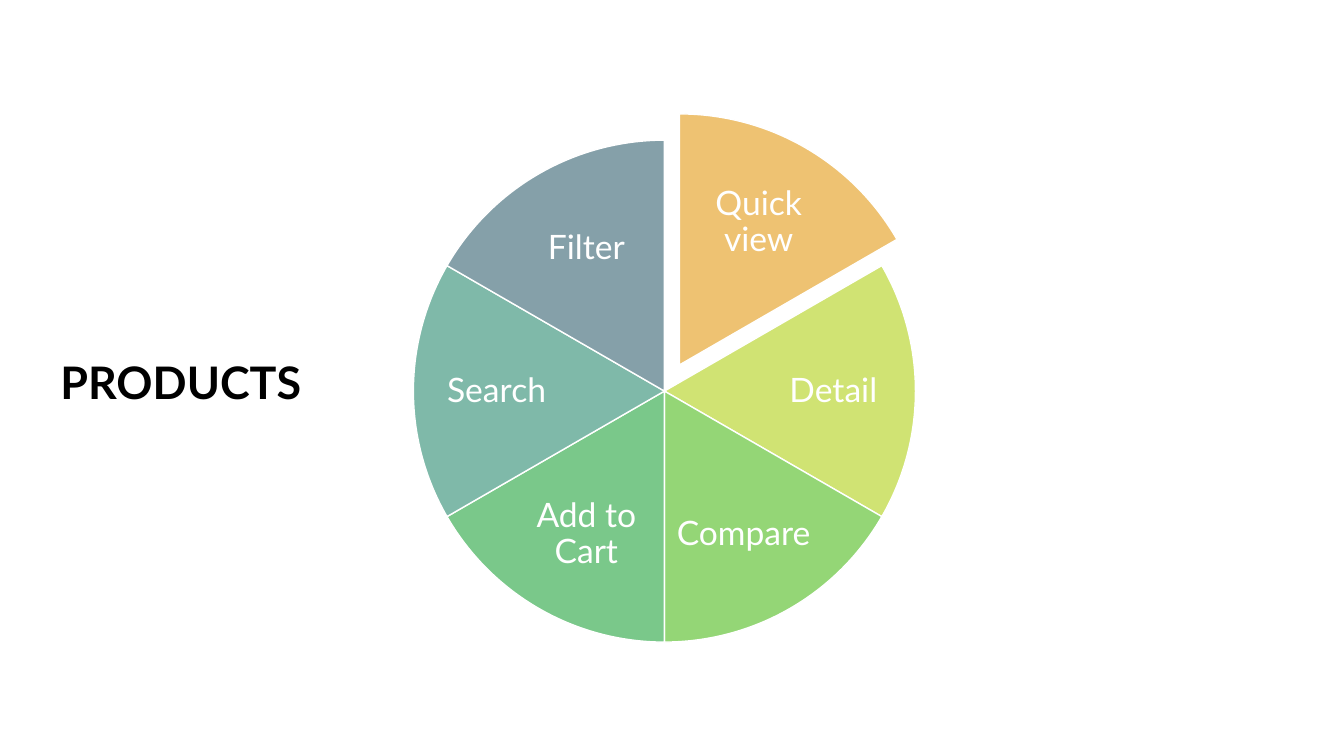
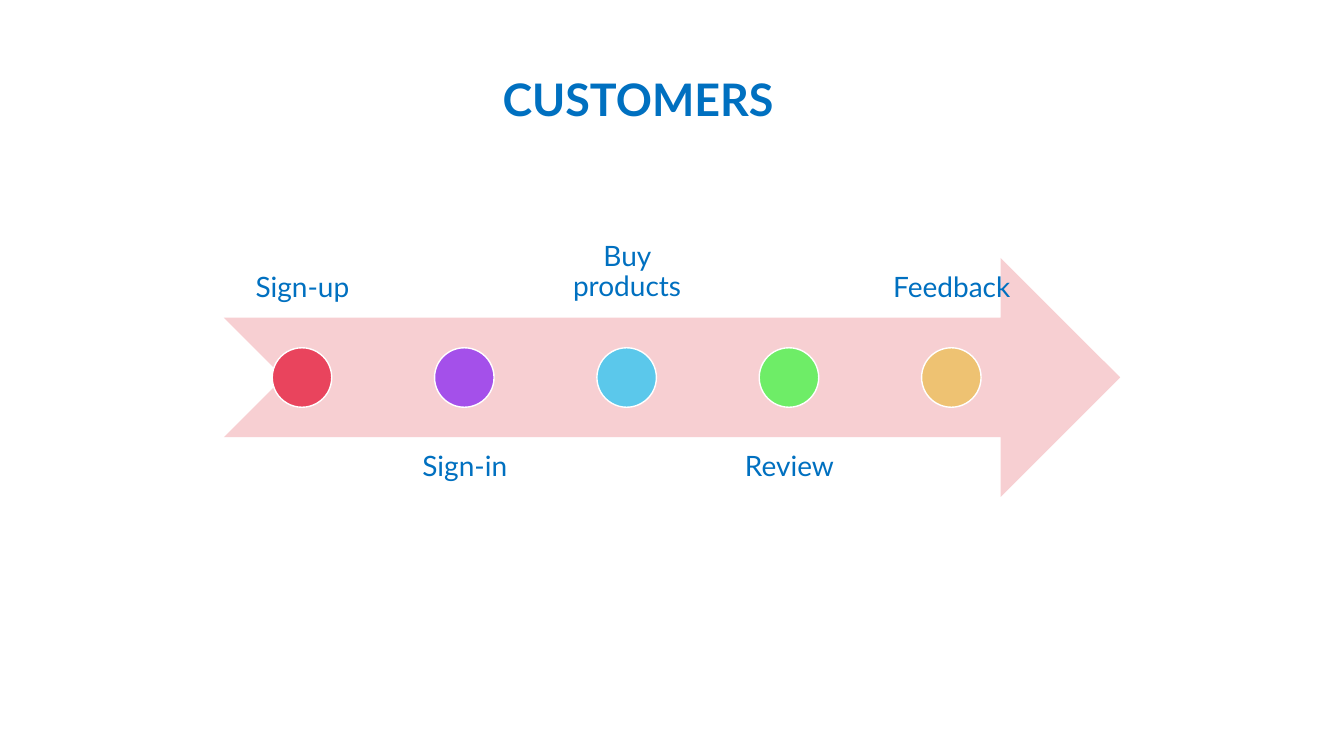
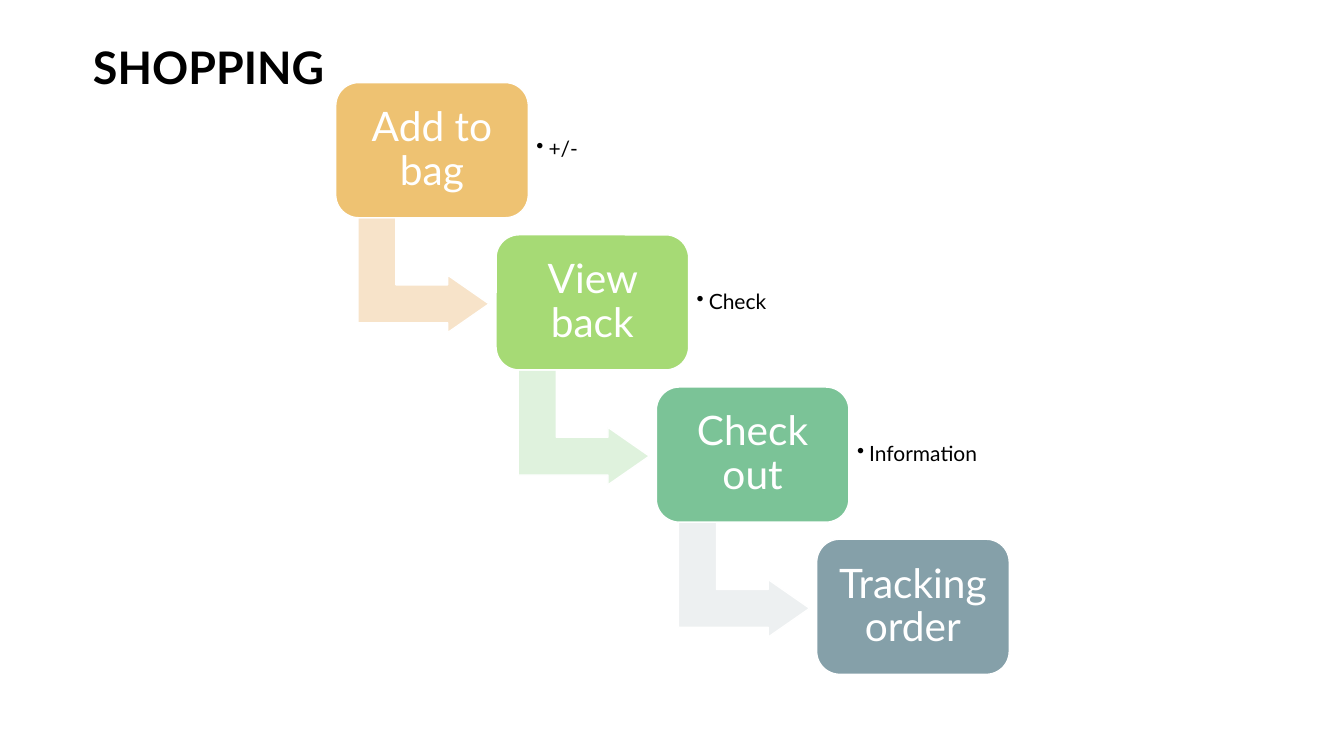
from dataclasses import dataclass

from lxml import etree
from pptx import Presentation
from pptx.dml.color import RGBColor
from pptx.enum.shapes import MSO_SHAPE
from pptx.enum.text import MSO_ANCHOR, PP_ALIGN
from pptx.oxml.ns import qn
from pptx.util import Emu, Pt

PIE, OVAL = MSO_SHAPE.PIE, MSO_SHAPE.OVAL
CARD, NOTCHED_ARROW = MSO_SHAPE.ROUNDED_RECTANGLE, MSO_SHAPE.NOTCHED_RIGHT_ARROW
BENT_ARROW = MSO_SHAPE.BENT_UP_ARROW
TOP, MIDDLE, BOTTOM = MSO_ANCHOR.TOP, MSO_ANCHOR.MIDDLE, MSO_ANCHOR.BOTTOM
LEFT, CENTER = PP_ALIGN.LEFT, PP_ALIGN.CENTER
EMU_PER_PX = 9144
BLANK_LAYOUT = 6
ADJ_PER_DEGREE = 0.6


@dataclass(frozen=True)
class Theme:
    """Colours, font and type sizes of the deck."""
    font: str = "Lato"
    black: str = "000000"
    white: str = "FFFFFF"
    blue: str = "0070C0"
    amber: str = "EEC272"
    lime: str = "D0E373"
    leaf: str = "94D676"
    green: str = "7AC88A"
    teal: str = "7FB9A9"
    slate: str = "85A0A9"
    blush: str = "F7CFD2"
    red: str = "E9445D"
    purple: str = "A450EA"
    sky: str = "5BC8EB"
    neon: str = "6EED67"
    grass: str = "A6DA75"
    mint: str = "7BC397"
    pale_amber: str = "F7E3C9"
    pale_green: str = "DFF2DD"
    pale_slate: str = "EDF0F1"
    title_size: int = 32
    title_leading: int = 40
    card_size: int = 29
    slice_size: int = 24
    stage_size: int = 20
    note_size: int = 15
    line_spacing: float = 0.9
    outline: int = 1


THEME = Theme()


def px(length):
    """Turn px into EMU."""
    return Emu(length * EMU_PER_PX)


def write(shape, text, size, color, margins, anchor=MIDDLE, align=CENTER,
          bold=False, spacing=THEME.line_spacing):
    """Put one styled paragraph into a shape and return it."""
    frame = shape.text_frame
    frame.word_wrap = True
    frame.vertical_anchor = anchor
    horizontal, vertical = margins
    frame.margin_left = frame.margin_right = px(horizontal)
    frame.margin_top = frame.margin_bottom = px(vertical)
    paragraph = frame.paragraphs[0]
    paragraph.text = text
    paragraph.alignment = align
    paragraph.line_spacing = spacing
    font = paragraph.runs[0].font
    font.name, font.size, font.bold = THEME.font, Pt(size), bold
    font.color.rgb = RGBColor.from_string(color)
    return paragraph


def add_label(slide, box, *content, **style):
    """Add a text box and return its paragraph."""
    return write(slide.shapes.add_textbox(*map(px, box)), *content, **style)


def add_title(slide, box, text, color=THEME.black, align=CENTER):
    """Add a slide title."""
    add_label(slide, box, text, THEME.title_size, color, (10, 5), anchor=BOTTOM,
              align=align, bold=True, spacing=Pt(THEME.title_leading))


def add_figure(slide, preset, box, fill, adjustments=(), outlined=True):
    """Add a flat filled shape, with a white outline unless told otherwise."""
    figure = slide.shapes.add_shape(preset, *map(px, box))
    figure.shadow.inherit = False
    figure.fill.solid()
    figure.fill.fore_color.rgb = RGBColor.from_string(fill)
    if outlined:
        figure.line.color.rgb = RGBColor.from_string(THEME.white)
        figure.line.width = Pt(THEME.outline)
    else:
        figure.line.fill.background()
    for index, value in enumerate(adjustments):
        figure.adjustments[index] = value
    return figure


def add_note(slide, box, text):
    """Add a bulleted side note."""
    paragraph = add_label(slide, box, text, THEME.note_size, THEME.black, (8, 8),
                          align=LEFT)
    paragraph.level = 1
    properties = paragraph._p.get_or_add_pPr()
    properties.set("marL", str(px(12)))
    properties.set("indent", str(px(-12)))
    etree.SubElement(properties, qn("a:buChar")).set("char", "•")


def build_products(slide):
    """Build the wheel of product features, its first slice pulled out."""
    add_title(slide, (50, 281, 396, 129), "PRODUCTS", align=LEFT)
    center_x, center_y, diameter = 659, 388, 498
    label_w, label_h = 145, 107
    slices = [
        ("Quick view", THEME.amber, 78, -142, (15, -26)),
        ("Detail", THEME.lime, 167, 0, (0, 0)),
        ("Compare", THEME.leaf, 78, 142, (0, 0)),
        ("Add to Cart", THEME.green, -78, 142, (0, 0)),
        ("Search", THEME.teal, -167, 0, (0, 0)),
        ("Filter", THEME.slate, -78, -142, (0, 0)),
    ]
    sweep = 360 // len(slices)
    for index, (feature, fill, dx, dy, (pull_x, pull_y)) in enumerate(slices):
        x, y = center_x + pull_x, center_y + pull_y
        start = (270 + index * sweep) % 360
        end = (start + sweep) % 360
        add_figure(slide, PIE,
                   (x - diameter // 2, y - diameter // 2, diameter, diameter), fill,
                   (start * ADJ_PER_DEGREE, end * ADJ_PER_DEGREE))
        add_label(slide, (x + dx - label_w // 2, y + dy - label_h // 2,
                          label_w, label_h),
                  feature, THEME.slice_size, THEME.white, (3, 3))


def build_customers(slide):
    """Build the customer journey arrow with labels alternating above and below."""
    add_title(slide, (435, 0, 396, 129), "CUSTOMERS", THEME.blue)
    band_h = 237
    add_figure(slide, NOTCHED_ARROW, (222, 256, 889, band_h), THEME.blush,
               outlined=False)
    stages = [
        ("Sign-up", THEME.red),
        ("Sign-in", THEME.purple),
        ("Buy products", THEME.sky),
        ("Review", THEME.neon),
        ("Feedback", THEME.amber),
    ]
    for index, (stage, fill) in enumerate(stages):
        x = 223 + index * 161
        top, anchor = (434, TOP) if index % 2 else (79, BOTTOM)
        add_label(slide, (x, top, 154, band_h), stage, THEME.stage_size, THEME.blue,
                  (16, 16), anchor=anchor)
        add_figure(slide, OVAL, (x + 47, 345, 59, 59), fill)


def build_shopping(slide):
    """Build the descending staircase of shopping steps."""
    add_title(slide, (32, 25, 350, 73), "SHOPPING")
    card_w, card_h = 191, 134
    steps = [
        ("Add to bag", THEME.amber, "+/-", THEME.pale_amber),
        ("View back", THEME.grass, "Check", THEME.pale_green),
        ("Check out", THEME.mint, "Information", THEME.pale_slate),
        ("Tracking order", THEME.slate, None, None),
    ]
    for index, (step, fill, note, arrow_fill) in enumerate(steps):
        x, y = 333 + index * 159, 82 + index * 151
        if note:
            arrow = add_figure(slide, BENT_ARROW, (x + 30, y + 126, 114, 130),
                               arrow_fill, (0.33, 0.25, 0.36))
            arrow.rotation = 90
            add_note(slide, (x + card_w, y + 13, 139, 108), note)
        card = add_figure(slide, CARD, (x, y, card_w, card_h), fill, (0.17,))
        write(card, step, THEME.card_size, THEME.white, (12, 12))


def main():
    """Build and save the deck."""
    deck = Presentation()
    deck.slide_width, deck.slide_height = px(1333), px(750)
    for build in (build_products, build_customers, build_shopping):
        build(deck.slides.add_slide(deck.slide_layouts[BLANK_LAYOUT]))
    deck.save("out.pptx")


if __name__ == "__main__":
    main()
